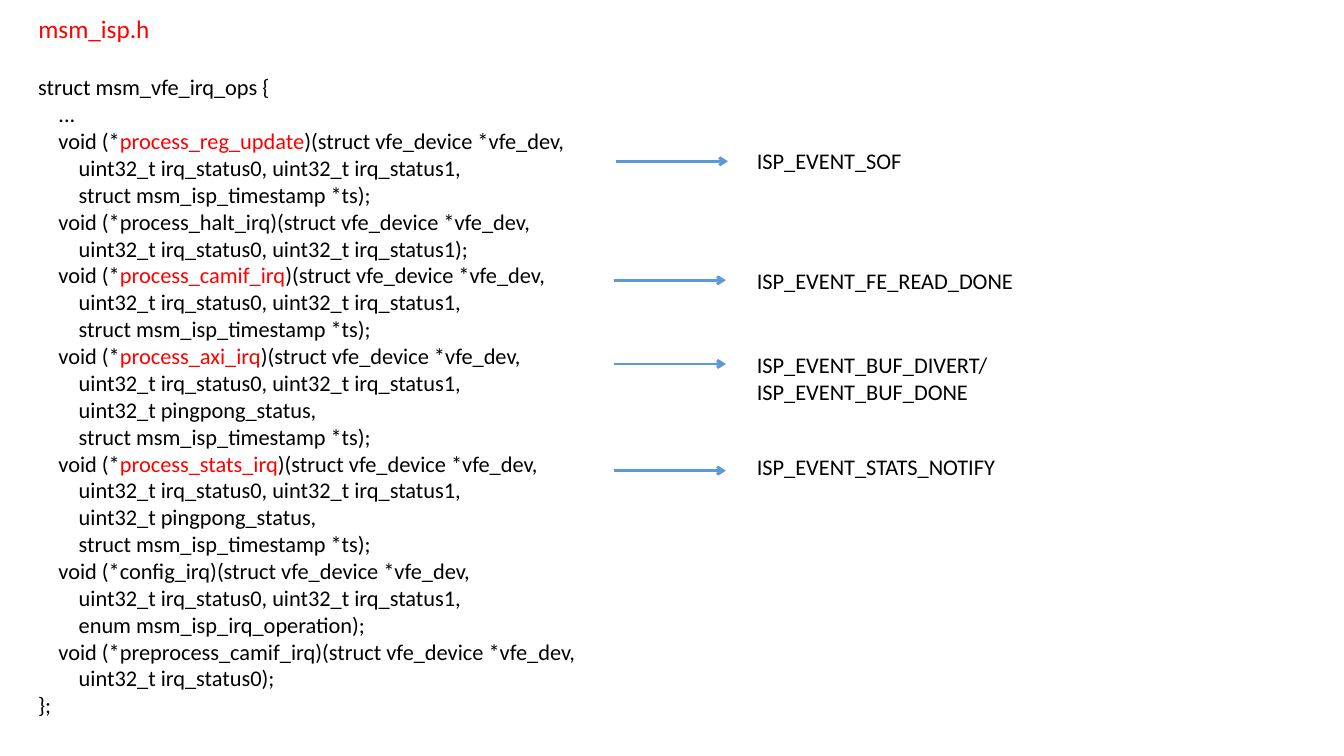
from lxml.etree import SubElement
from pptx import Presentation
from pptx.dml.color import RGBColor
from pptx.enum.shapes import MSO_CONNECTOR
from pptx.enum.text import MSO_ANCHOR, MSO_AUTO_SIZE, PP_ALIGN
from pptx.oxml.ns import qn
from pptx.util import Pt

COLOURS = {"text": "000000", "accent": "FF0000", "arrow": "5B9BD5"}
FONT = "Calibri"
CODE_SIZE = 16
INDENT = 14.46  # one code level
STATUS = "uint32_t irq_status0, uint32_t irq_status1"
PINGPONG = "uint32_t pingpong_status,"
TIMESTAMP = "struct msm_isp_timestamp *ts);"

# callback name, highlighted or not, argument lines after the first
CALLBACKS = [
    ("process_reg_update", True, [STATUS + ",", TIMESTAMP]),
    ("process_halt_irq", False, [STATUS + ");"]),
    ("process_camif_irq", True, [STATUS + ",", TIMESTAMP]),
    ("process_axi_irq", True, [STATUS + ",", PINGPONG, TIMESTAMP]),
    ("process_stats_irq", True, [STATUS + ",", PINGPONG, TIMESTAMP]),
    ("config_irq", False, [STATUS + ",", "enum msm_isp_irq_operation);"]),
    ("preprocess_camif_irq", False, ["uint32_t irq_status0);"]),
]

# label box (left, top, width, height), arrow start (x, y), label lines
EVENTS = [
    ((533.5, 101.5, 120, 26.6), (440, 115.2), ["ISP_EVENT_SOF"]),
    ((533.5, 187.2, 200, 26.6), (438.5, 200.2), ["ISP_EVENT_FE_READ_DONE"]),
    ((533.5, 247, 200, 46), (438.5, 260),
     ["ISP_EVENT_BUF_DIVERT/", "ISP_EVENT_BUF_DONE"]),
    ((533.5, 320.4, 191, 26.6), (438.5, 336.2), ["ISP_EVENT_STATS_NOTIFY"]),
]
ARROW_LENGTH = 80


def colour(name):
    return RGBColor.from_string(COLOURS[name])


def style(para, size, colour_name):
    para.font.name = FONT
    para.font.size = Pt(size)
    para.font.color.rgb = colour(colour_name)


def add_title(page, box, text):
    title = page.shapes.title
    title.left, title.top, title.width, title.height = map(Pt, box)
    frame = title.text_frame
    frame.text = text
    frame.word_wrap = False
    frame.auto_size = MSO_AUTO_SIZE.NONE
    frame.vertical_anchor = MSO_ANCHOR.TOP
    para = frame.paragraphs[0]
    para.alignment = PP_ALIGN.LEFT
    style(para, 18, "accent")


def code_lines():
    """Yield each line as its level and its (text, highlighted) spans."""
    yield 0, [("struct msm_vfe_irq_ops {", False)]
    yield 1, [("...", False)]
    for name, highlighted, arguments in CALLBACKS:
        yield 1, [("void (*", False), (name, highlighted),
                  (")(struct vfe_device *vfe_dev,", False)]
        for argument in arguments:
            yield 2, [(argument, False)]
    yield 0, [("};", False)]


def add_lines(page, box, lines):
    frame = page.shapes.add_textbox(*map(Pt, box)).text_frame
    frame.word_wrap = True
    for index, (level, spans) in enumerate(lines):
        para = frame.add_paragraph() if index else frame.paragraphs[0]
        style(para, CODE_SIZE, "text")
        para._p.get_or_add_pPr().set("marL", str(Pt(level * INDENT)))
        for text, highlighted in spans:
            span = para.add_run()
            span.text = text
            if highlighted:
                span.font.color.rgb = colour("accent")


def add_event(page, box, start, labels):
    """Place an event label and the arrow that leads to it."""
    add_lines(page, box, [(0, [(label, False)]) for label in labels])
    x, y = start
    arrow = page.shapes.add_connector(
        MSO_CONNECTOR.STRAIGHT, Pt(x), Pt(y), Pt(x + ARROW_LENGTH), Pt(y))
    arrow.line.color.rgb = colour("arrow")
    arrow.line.width = Pt(2)
    SubElement(arrow.line._get_or_add_ln(), qn("a:tailEnd"), type="arrow")
    SubElement(arrow._element.spPr, qn("a:effectLst"))


def main():
    deck = Presentation()
    deck.slide_width, deck.slide_height = Pt(960), Pt(540)
    page = deck.slides.add_slide(deck.slide_layouts.get_by_name("Title Only"))
    add_title(page, (20.2, 5.8, 113, 28.8), "msm_isp.h")
    add_lines(page, (20.2, 49, 409.7, 472.3), code_lines())
    for box, start, labels in EVENTS:
        add_event(page, box, start, labels)
    deck.save("out.pptx")


if __name__ == "__main__":
    main()
